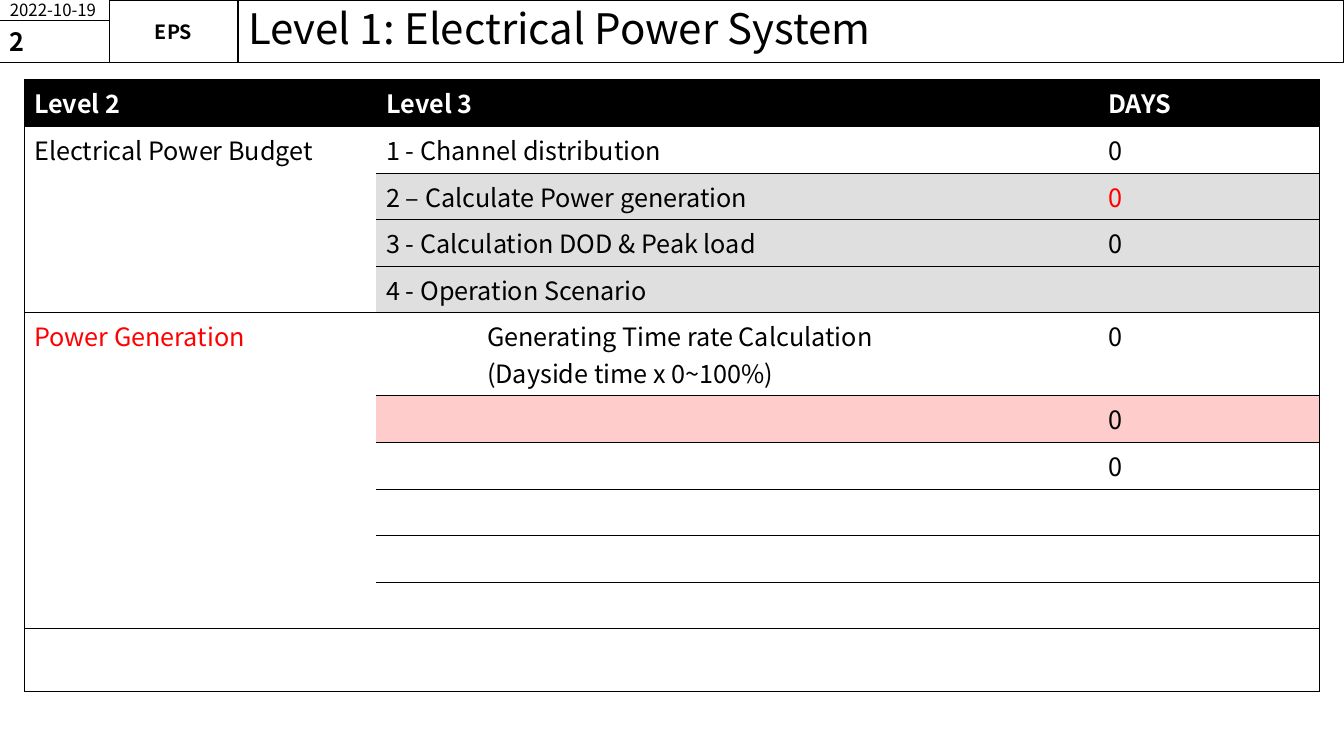
from lxml import etree
from pptx import Presentation
from pptx.dml.color import RGBColor
from pptx.enum.shapes import MSO_SHAPE
from pptx.enum.text import MSO_ANCHOR, MSO_AUTO_SIZE, PP_ALIGN
from pptx.oxml.ns import qn
from pptx.util import Pt

RECT = MSO_SHAPE.RECTANGLE
MIDDLE = MSO_ANCHOR.MIDDLE
NO_FIT = MSO_AUTO_SIZE.NONE
LEFT, CENTER = PP_ALIGN.LEFT, PP_ALIGN.CENTER

BLACK = RGBColor(0x00, 0x00, 0x00)
WHITE = RGBColor(0xFF, 0xFF, 0xFF)
RED = RGBColor(0xFF, 0x00, 0x00)
GREY = RGBColor(0xDF, 0xDF, 0xDF)
PINK = RGBColor(0xFF, 0xCC, 0xCC)

PLAIN_TABLE = "{2D5ABB26-0587-4C30-8999-92F81FD0307C}"


class SlideBuilder:
    font = "Noto Sans CJK KR"
    frame_width = 0.75
    border_width = 0.5

    def __init__(self, slide):
        self.s = slide

    def run(self, p, text, size, color=BLACK, bold=False):
        r = p.add_run()
        r.text = text
        r.font.name = self.font
        r.font.size = Pt(size)
        r.font.bold = bold
        r.font.color.rgb = color

    def outline(self, sp):
        sp.line.color.rgb = BLACK
        sp.line.width = Pt(self.frame_width)

    def title(self, text, x, y, w, h, size):
        sp = self.s.shapes.title
        sp.left, sp.top, sp.width, sp.height = Pt(x), Pt(y), Pt(w), Pt(h)
        self.outline(sp)
        tf = sp.text_frame
        tf.auto_size = NO_FIT
        tf.vertical_anchor = MIDDLE
        p = tf.paragraphs[0]
        p.alignment = LEFT
        p.line_spacing = 0.9
        self.run(p, text, size)

    def box(self, text, x, y, w, h, size, bold=False, align=LEFT, inset=None):
        sp = self.s.shapes.add_shape(RECT, Pt(x), Pt(y), Pt(w), Pt(h))
        sp.shadow.inherit = False
        sp.fill.background()
        self.outline(sp)
        tf = sp.text_frame
        tf.word_wrap = True
        tf.vertical_anchor = MIDDLE
        if inset is not None:
            tf.margin_left = tf.margin_right = Pt(inset)
            tf.margin_top = tf.margin_bottom = Pt(inset)
        p = tf.paragraphs[0]
        p.alignment = align
        self.run(p, text, size, bold=bold)

    def table(self, x, y, widths, heights):
        frame = self.s.shapes.add_table(
            len(heights), len(widths), Pt(x), Pt(y), Pt(sum(widths)), Pt(sum(heights)))
        table = frame.table
        table._tbl.tblPr.find(qn("a:tableStyleId")).text = PLAIN_TABLE
        table.horz_banding = False
        for column, width in zip(table.columns, widths):
            column.width = Pt(width)
        for row, height in zip(table.rows, heights):
            row.height = Pt(height)
        return table

    def borders(self, cell, sides):
        tc_pr = cell._tc.get_or_add_tcPr()
        for side in sides:
            ln = etree.SubElement(tc_pr, qn("a:ln" + side), w=str(Pt(self.border_width)))
            fill = etree.SubElement(ln, qn("a:solidFill"))
            etree.SubElement(fill, qn("a:srgbClr"), val=str(BLACK))

    def cell(self, cell, text, sides, fill=None, color=BLACK, bold=False, indent=0):
        self.borders(cell, sides)
        if fill is None:
            cell.fill.background()
        else:
            cell.fill.solid()
            cell.fill.fore_color.rgb = fill
        tf = cell.text_frame
        for i, line in enumerate(text.split("\n")):
            p = tf.add_paragraph() if i else tf.paragraphs[0]
            if indent:
                p.level = 2
                p_pr = p._p.get_or_add_pPr()
                p_pr.set("marL", str(Pt(indent)))
                p_pr.set("indent", "0")
            if line:
                self.run(p, line, 18, color, bold)
            else:
                p.font.size = Pt(18)


# Rows: level 2, level 3, days, fill
ROWS = [
    ("Level 2", "Level 3", "DAYS", BLACK),
    ("Electrical Power Budget", "1 - Channel distribution", "0", None),
    ("", "2 – Calculate Power generation", "0", GREY),
    ("", "3 - Calculation DOD & Peak load", "0", GREY),
    ("", "4 - Operation Scenario", "", GREY),
    ("Power Generation",
     "Generating Time rate Calculation\n(Dayside time x 0~100%)", "0", None),
    ("", "", "0", PINK),
    ("", "", "0", None),
    ("", "", "", None),
    ("", "", "", None),
    ("", "", "", None),
    ("", "", "", None),
]
HEADER_ROW, TIME_RATE_ROW = 0, 5
LEVEL2_SPANS = [(1, 4), (5, 10)]
RED_CELLS = {(2, 2), (5, 0)}
ROW_HEIGHT, TIME_RATE_HEIGHT, LAST_HEIGHT = 33.25, 59.3, 45


def main():
    prs = Presentation()
    prs.slide_width, prs.slide_height = Pt(960), Pt(540)
    b = SlideBuilder(prs.slides.add_slide(prs.slide_layouts[5]))

    # Header strip
    strip, date_w, date_h, code_w = 44.64, 78, 14.4, 92
    title_x = date_w + code_w
    b.title("Level 1: Electrical Power System", title_x, 0, 960 - title_x, strip, 30)
    b.box("2022-10-19", 0, 0, date_w, date_h, 12)
    b.box("EPS", date_w, 0, code_w, strip, 14, bold=True, align=CENTER, inset=0)
    b.box("2", 0, date_h, date_w, strip - date_h, 18, bold=True)

    # Work breakdown table
    heights = [ROW_HEIGHT] * len(ROWS)
    heights[TIME_RATE_ROW] = TIME_RATE_HEIGHT
    heights[-1] = LAST_HEIGHT
    table = b.table(17.3, 56.9, [251.5, 515.5, 158.3], heights)
    for first, last in LEVEL2_SPANS:
        table.cell(first, 0).merge(table.cell(last, 0))

    for i, (*texts, fill) in enumerate(ROWS):
        for j, text in enumerate(texts):
            cell = table.cell(i, j)
            sides = ["L"] if j == 0 else ["R"] if j == 2 else []
            if not cell.is_spanned:
                sides += ["T", "B"]
            b.cell(cell, text, sides,
                   fill=fill if j or i == HEADER_ROW else None,
                   color=WHITE if i == HEADER_ROW else RED if (i, j) in RED_CELLS else BLACK,
                   bold=i == HEADER_ROW,
                   indent=72 if (i, j) == (TIME_RATE_ROW, 1) else 0)

    prs.save("out.pptx")


if __name__ == "__main__":
    main()
